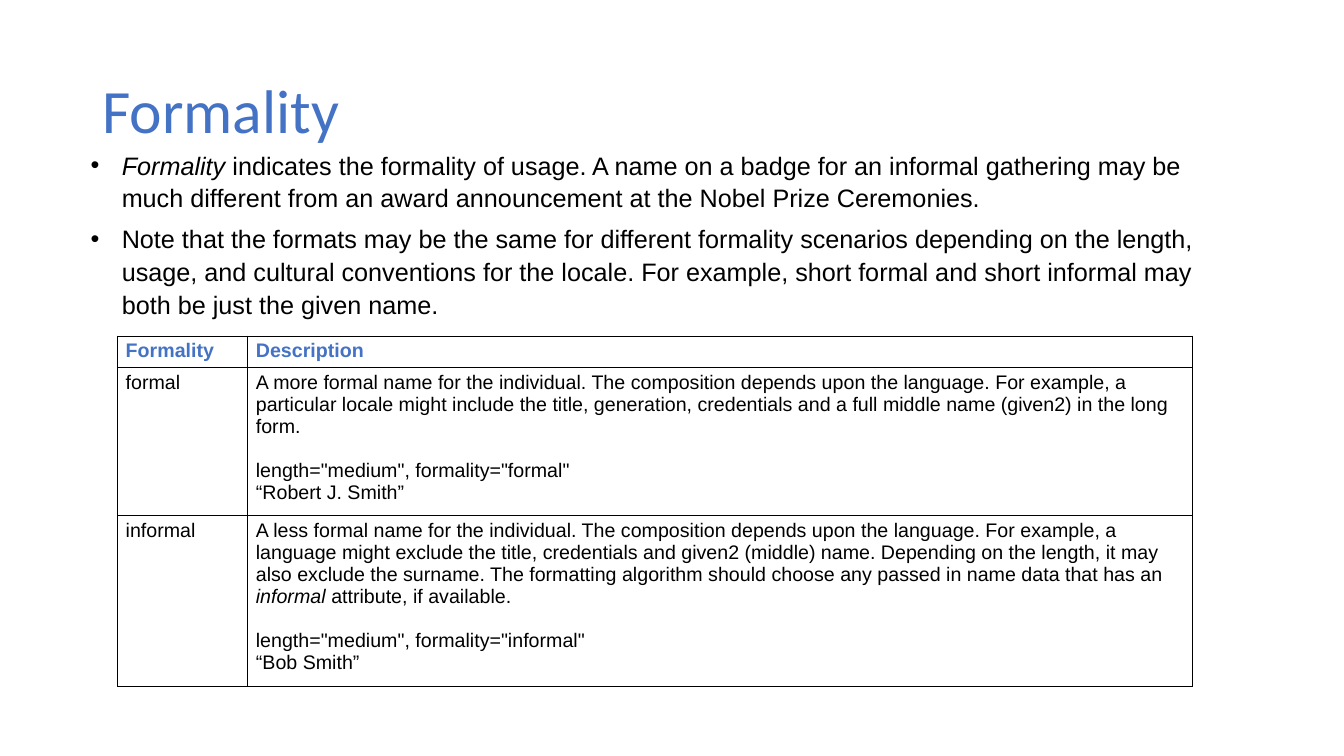
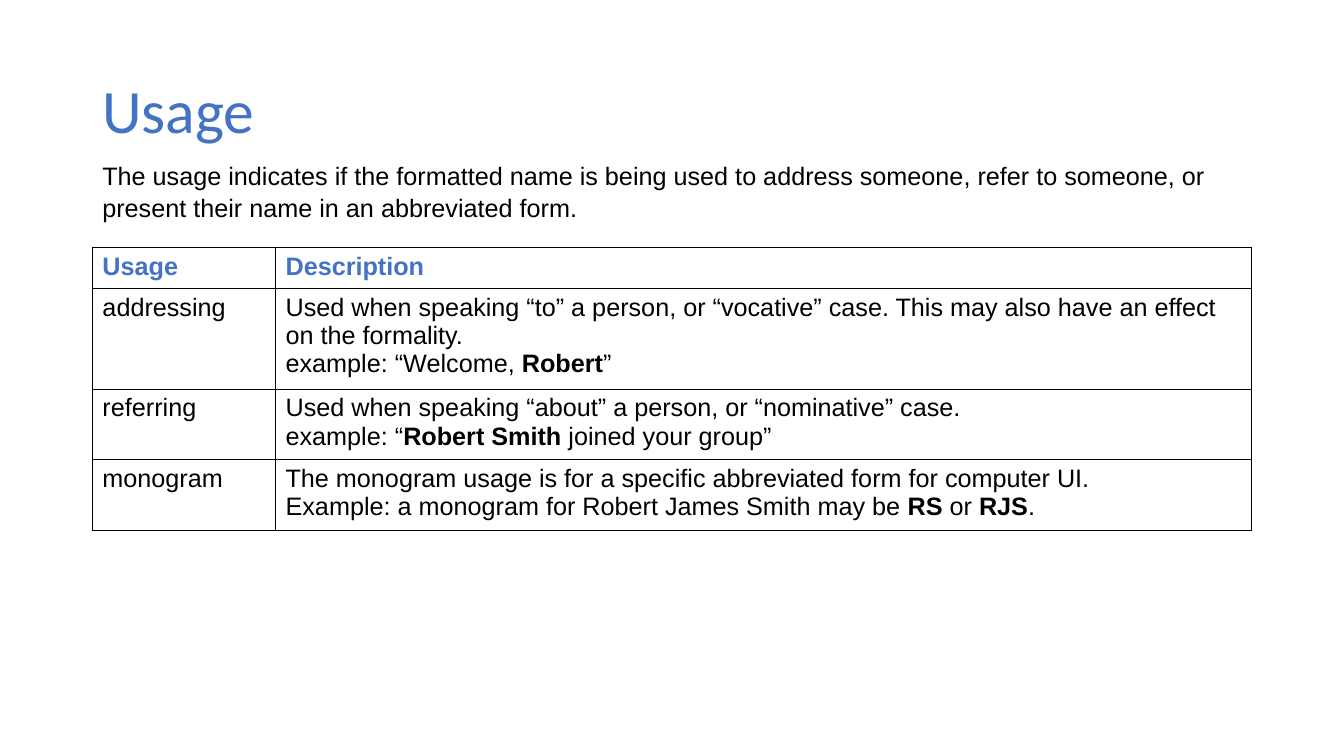
from lxml import etree
from pptx import Presentation
from pptx import util as u
from pptx.dml.color import RGBColor
from pptx.enum import text
from pptx.oxml.ns import qn

BLUE = RGBColor(0x44, 0x72, 0xC4)
BLACK = RGBColor(0x00, 0x00, 0x00)
BODY_FONT = "Arial"
TITLE_FONT = "Calibri"
LINE_HEIGHT = 1.12

presentation = Presentation()
presentation.slide_width = u.Inches(13.33)
presentation.slide_height = u.Inches(7.5)
COLUMN = presentation.slide_width / 160
ROW = presentation.slide_height / 90

PAGES = [
    {
        "title": "Formality",
        "emphasis": "italic",
        "intro_box": (9.6, 17.6, 139.4, 20.4),
        "bulleted": True,
        "intro": "*Formality* indicates the formality of usage. A name on a badge for an informal gathering may be "
                 "much different from an award announcement at the Nobel Prize Ceremonies.\n"
                 "Note that the formats may be the same for different formality scenarios depending on the length, "
                 "usage, and cultural conventions for the locale. For example, short formal and short informal may "
                 "both be just the given name.",
        "table_at": (14, 40),
        "columns": (15.5, 112.5),
        "rows": (3.5, 16.7, 20),
        "size": 14,
        "margins": (0.08, 0.04),
        "cells": [
            ("Formality", "Description"),
            ("formal",
             "A more formal name for the individual. The composition depends upon the language. For example, a "
             "particular locale might include the title, generation, credentials and a full middle name (given2) "
             "in the long form.\n\n"
             'length="medium", formality="formal"\n“Robert J. Smith”'),
            ("informal",
             "A less formal name for the individual. The composition depends upon the language. For example, a "
             "language might exclude the title, credentials and given2 (middle) name. Depending on the length, "
             "it may also exclude the surname. The formatting algorithm should choose any passed in name data "
             "that has an *informal* attribute, if available.\n\n"
             'length="medium", formality="informal"\n“Bob Smith”'),
        ],
    },
    {
        "title": "Usage",
        "emphasis": "bold",
        "intro_box": (11, 18.4, 138, 8.5),
        "bulleted": False,
        "intro": "The usage indicates if the formatted name is being used to address someone, refer to someone, or "
                 "present their name in an abbreviated form.",
        "table_at": (11, 29.5),
        "columns": (21.8, 116.2),
        "rows": (4.7, 11.3, 7.9, 7.9),
        "size": 18,
        "margins": (0.1, 0.05),
        "cells": [
            ("Usage", "Description"),
            ("addressing",
             "Used when speaking “to” a person, or “vocative” case. This may also have an effect on the formality.\n"
             "example: “Welcome, *Robert*”"),
            ("referring",
             "Used when speaking “about” a person, or “nominative” case.\n"
             "example: “*Robert Smith* joined your group”"),
            ("monogram",
             "The monogram usage is for a specific abbreviated form for computer UI.\n"
             "Example: a monogram for Robert James Smith may be *RS* or *RJS*."),
        ],
    },
]


def write(frame, content, size, color=BLACK, font=BODY_FONT, bold=False, emphasis="italic"):
    paragraph = None
    for block in content.split("\n\n"):
        for position, line in enumerate(block.split("\n")):
            new_block = paragraph is not None and position == 0
            paragraph = frame.paragraphs[0] if paragraph is None else frame.add_paragraph()
            if new_block:
                paragraph.space_before = u.Pt(size * LINE_HEIGHT)
            for index, piece in enumerate(line.split("*")):
                if not piece:
                    continue
                run = paragraph.add_run()
                run.text = piece
                run.font.name = font
                run.font.size = u.Pt(size)
                run.font.color.rgb = color
                run.font.bold = bold
                if index % 2:
                    setattr(run.font, emphasis, True)


def add_box(slide, left, top, width, height):
    shape = slide.shapes.add_textbox(
        round(left * COLUMN), round(top * ROW), round(width * COLUMN), round(height * ROW))
    shape.text_frame.word_wrap = True
    shape.text_frame.vertical_anchor = text.MSO_ANCHOR.MIDDLE
    return shape.text_frame


for page in PAGES:
    slide = presentation.slides.add_slide(presentation.slide_layouts[6])

    title = add_box(slide, 11, 4.8, 138, 17.4)
    write(title, page["title"], 44, BLUE, TITLE_FONT)
    title.paragraphs[0].line_spacing = 0.9

    left, top = page["table_at"]
    table = slide.shapes.add_table(
        len(page["rows"]), len(page["columns"]), round(left * COLUMN), round(top * ROW),
        round(sum(page["columns"]) * COLUMN), round(sum(page["rows"]) * ROW)).table
    table.horz_banding = False
    table.first_row = False
    for column, width in zip(table.columns, page["columns"]):
        column.width = round(width * COLUMN)
    for row, height in zip(table.rows, page["rows"]):
        row.height = round(height * ROW)
    side, edge = page["margins"]
    for row_index, values in enumerate(page["cells"]):
        header = row_index == 0
        for column_index, value in enumerate(values):
            cell = table.cell(row_index, column_index)
            cell.margin_left = cell.margin_right = u.Inches(side)
            cell.margin_top = cell.margin_bottom = u.Inches(edge)
            properties = cell._tc.get_or_add_tcPr()
            for border in ("a:lnL", "a:lnR", "a:lnT", "a:lnB"):
                line = etree.SubElement(properties, qn(border), w=str(u.Pt(0.75)))
                fill = etree.SubElement(line, qn("a:solidFill"))
                etree.SubElement(fill, qn("a:srgbClr"), val=str(BLACK))
            cell.fill.background()
            write(cell.text_frame, value, page["size"], BLUE if header else BLACK,
                  bold=header, emphasis=page["emphasis"])

    intro = add_box(slide, *page["intro_box"])
    write(intro, page["intro"], 18, emphasis=page["emphasis"])
    for index, paragraph in enumerate(intro.paragraphs):
        paragraph.line_spacing = 1.08
        if index:
            paragraph.space_before = u.Pt(6)
        if page["bulleted"]:
            properties = paragraph._p.get_or_add_pPr()
            properties.set("marL", str(u.Inches(0.31)))
            properties.set("indent", str(u.Inches(-0.31)))
            etree.SubElement(properties, qn("a:buFont"), typeface=BODY_FONT)
            etree.SubElement(properties, qn("a:buChar"), char="•")

presentation.save("out.pptx")
